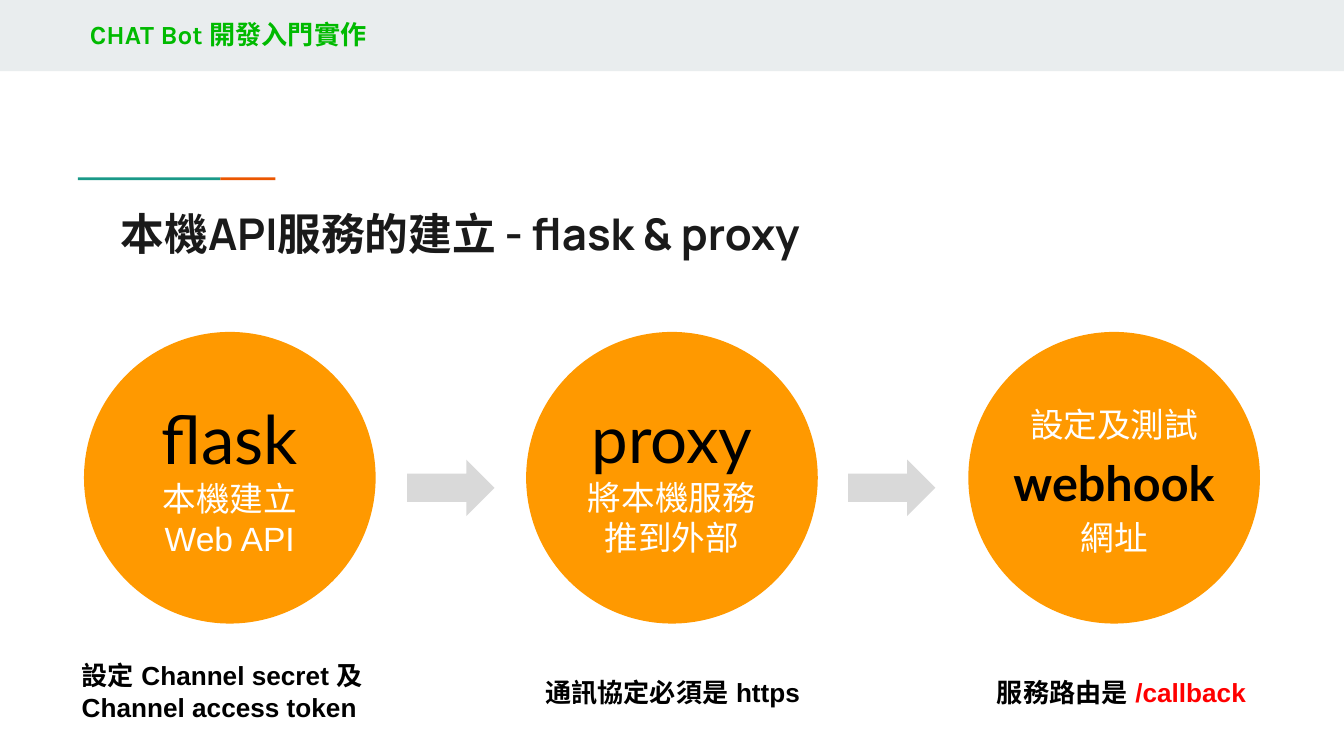
from dataclasses import dataclass

from lxml.etree import SubElement
from pptx import Presentation
from pptx.dml.color import RGBColor
from pptx.enum.shapes import MSO_SHAPE as Preset
from pptx.enum.text import MSO_ANCHOR as Anchor, PP_ALIGN as Align
from pptx.oxml.ns import qn
from pptx.util import Inches, Pt


@dataclass(frozen=True)
class Style:
    size: float
    font: str
    color: str
    bold: bool = False


class Theme:
    band = "E9EDEE"
    teal = "1A9988"
    red_orange = "EB5600"
    circle = "FF9900"
    arrow = "D9D9D9"
    header = Style(14, "Karla", "00BA00", True)
    title = Style(23.4, "Manrope", "1A1A1A", True)
    flask = Style(36, "Lato", "000000")
    proxy = Style(35, "Lato", "000000")
    webhook = Style(26, "Lato", "000000", True)
    body = Style(18, "Arial", "FFFFFF")
    label = Style(14, "Arial", "000000", True)
    route = Style(14, "Arial", "FF0000", True)


WIDTH = 10
HEIGHT = WIDTH * 9 / 16
MIDDLE = WIDTH / 2
PITCH = 3.29
DIAMETER = 2.17
CIRCLE_TOP = 2.47
BREAK = ("\v", None)


def box(left, top, width, height):
    return [Inches(value) for value in (left, top, width, height)]


def add_filled(slide, preset, area, color):
    shape = slide.shapes.add_shape(preset, *box(*area))
    shape.shadow.inherit = False
    shape.fill.solid()
    shape.fill.fore_color.rgb = RGBColor.from_string(color)
    shape.line.fill.background()
    return shape


def add_span(paragraph, text, style):
    run = paragraph.add_run()
    run.text = text
    font = run.font
    font.size, font.name, font.bold = Pt(style.size), style.font, style.bold
    font.color.rgb = RGBColor.from_string(style.color)
    east_asian = SubElement(run._r.get_or_add_rPr(), qn("a:ea"))
    east_asian.set("typeface", style.font)


def write(shape, paragraphs, align, anchor=Anchor.TOP, side=0.1, spacing=None):
    frame = shape.text_frame
    frame.word_wrap = True
    frame.vertical_anchor = anchor
    frame.margin_left = frame.margin_right = Inches(side)
    frame.margin_top = frame.margin_bottom = Inches(0.1)
    for index, spans in enumerate(paragraphs):
        paragraph = frame.add_paragraph() if index else frame.paragraphs[0]
        paragraph.alignment = align
        paragraph.line_spacing = spacing
        for text, style in spans:
            if style is None:
                paragraph.add_line_break()
            else:
                add_span(paragraph, text, style)


def add_text(slide, area, spans, align=Align.LEFT):
    write(slide.shapes.add_textbox(*box(*area)), [spans], align)


def add_step(slide, column, paragraphs, side=0.1, spacing=None):
    left = MIDDLE + (column - 1) * PITCH - DIAMETER / 2
    area = (left, CIRCLE_TOP, DIAMETER, DIAMETER)
    circle = add_filled(slide, Preset.OVAL, area, Theme.circle)
    write(circle, paragraphs, Align.CENTER, Anchor.MIDDLE, side, spacing)


def add_arrow(slide, gap):
    left = 3.03 + gap * 3.28
    add_filled(slide, Preset.RIGHT_ARROW, (left, 3.42, 0.65, 0.42), Theme.arrow)


def add_header(slide):
    add_filled(slide, Preset.RECTANGLE, (0, 0, WIDTH, 0.53), Theme.band)
    add_filled(slide, Preset.RECTANGLE, (0.58, 1.32, 1.06, 0.02), Theme.teal)
    add_filled(slide, Preset.RECTANGLE, (1.64, 1.32, 0.41, 0.02), Theme.red_orange)
    add_text(slide, (0.57, 0.04, 2.64, 0.44), [("CHAT Bot 開發入門實作", Theme.header)])
    add_text(slide, (0.8, 1.44, 8.41, 0.59),
             [("本機API服務的建立 - flask & proxy", Theme.title)])


def main():
    presentation = Presentation()
    presentation.slide_width = Inches(WIDTH)
    presentation.slide_height = Inches(HEIGHT)
    slide = presentation.slides.add_slide(presentation.slide_layouts[6])
    add_header(slide)

    add_step(slide, 0, [
        [("flask", Theme.flask), BREAK, ("本機建立", Theme.body)],
        [("Web API", Theme.body)],
    ])
    add_step(slide, 1, [
        [("proxy", Theme.proxy), BREAK, ("將本機服務推到外部", Theme.body)],
    ])
    add_step(slide, 2, [
        [("設定及測試", Theme.body), BREAK, ("webhook", Theme.webhook)],
        [("網址", Theme.body)],
    ], side=0, spacing=1.15)
    for gap in range(2):
        add_arrow(slide, gap)

    add_text(slide, (3.92, 4.93, DIAMETER, 0.44),
             [("通訊協定必須是 https", Theme.label)], Align.CENTER)
    add_text(slide, (0.51, 4.81, 2.4, 0.67),
             [("設定 Channel secret 及 Channel access token", Theme.label)])
    add_text(slide, (7.26, 4.93, DIAMETER, 0.44),
             [("服務路由是 ", Theme.label), ("/callback", Theme.route)], Align.CENTER)
    presentation.save("out.pptx")


if __name__ == "__main__":
    main()
